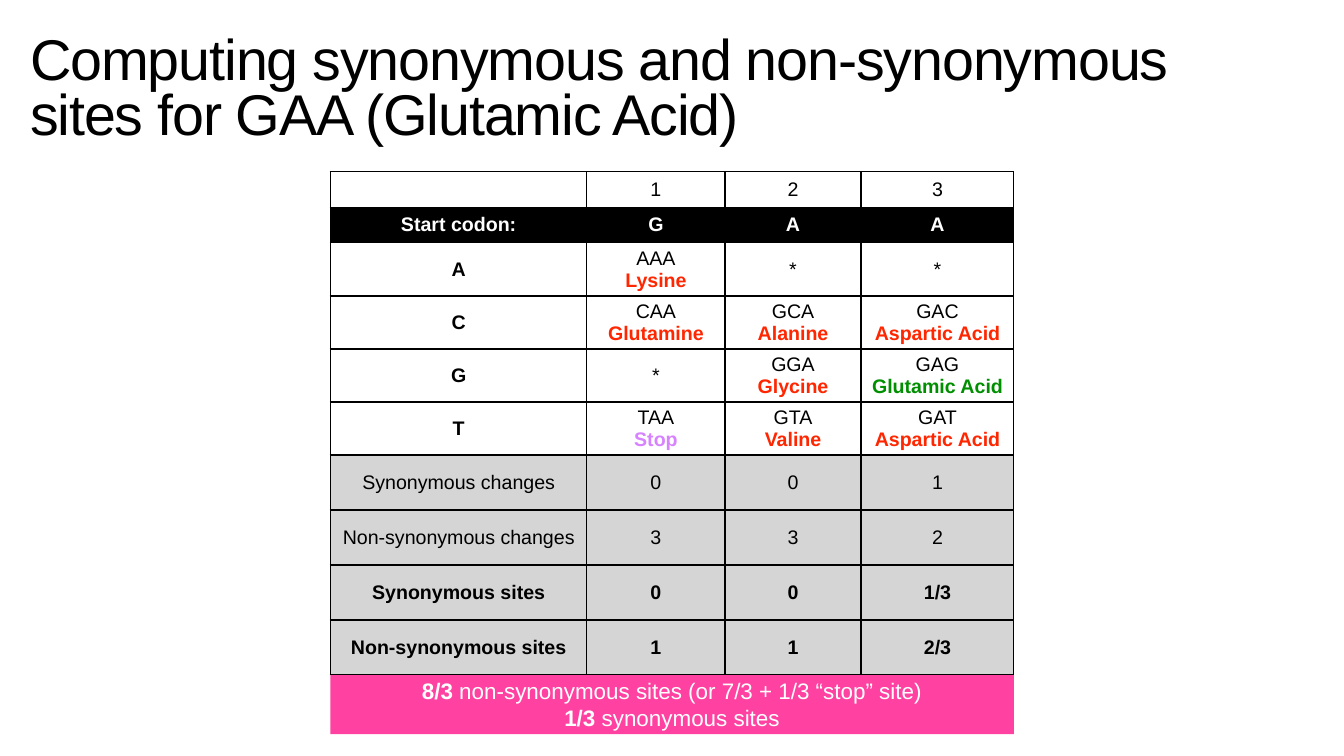
from dataclasses import dataclass
from typing import NamedTuple

from lxml import etree
from pptx import Presentation
from pptx.dml.color import RGBColor
from pptx.enum.shapes import MSO_SHAPE
from pptx.enum.text import MSO_ANCHOR, PP_ALIGN
from pptx.oxml.ns import qn
from pptx.util import Cm, Pt

RECT = MSO_SHAPE.RECTANGLE
MIDDLE = MSO_ANCHOR.MIDDLE
CENTER, LEFT = PP_ALIGN.CENTER, PP_ALIGN.LEFT


@dataclass(frozen=True)
class Theme:
    font: str = "Arial"
    title: int = 82
    note: int = 32
    body: int = 28
    ink: str = "000000"
    paper: str = "FFFFFF"
    grey: str = "D5D5D5"
    pink: str = "FF42A1"
    change: str = "FF2600"
    same: str = "008F00"
    stop: str = "D783FF"
    border: int = 2


THEME = Theme()


class Run(NamedTuple):
    text: str
    size: int = THEME.body
    color: str = THEME.ink
    bold: bool = False


class Look(NamedTuple):
    height: float
    fill: str | None = None
    color: str = THEME.ink
    head: bool = False  # bold first cell
    rest: bool = False  # bold other cells


class Row(NamedTuple):
    look: Look
    texts: tuple[str, ...]


# Row styles and table content; a second line names the amino acid
PLACE = Look(1.8)
START = Look(1.8, THEME.ink, THEME.paper, True, True)
BASE = Look(2.67, head=True)  # tall enough for two lines
COUNT = Look(2.77, THEME.grey)
SITES = Look(2.77, THEME.grey, head=True, rest=True)

ROWS = [
    Row(PLACE, ("", "1", "2", "3")),
    Row(START, ("Start codon:", "G", "A", "A")),
    Row(BASE, ("A", "AAA\nLysine", "*", "*")),
    Row(BASE, ("C", "CAA\nGlutamine", "GCA\nAlanine", "GAC\nAspartic Acid")),
    Row(BASE, ("G", "*", "GGA\nGlycine", "GAG\nGlutamic Acid")),
    Row(BASE, ("T", "TAA\nStop", "GTA\nValine", "GAT\nAspartic Acid")),
    Row(COUNT, ("Synonymous changes", "0", "0", "1")),
    Row(COUNT, ("Non-synonymous changes", "3", "3", "2")),
    Row(SITES, ("Synonymous sites", "0", "0", "1/3")),
    Row(SITES, ("Non-synonymous sites", "1", "1", "2/3")),
]
WIDTHS = (12.93, 6.96, 6.86, 7.7)
AMINO = {"Glutamic Acid": THEME.same, "Stop": THEME.stop}
INSETS = {f"margin_{side}": Cm(0.15) for side in ("left", "right", "top", "bottom")}

# Table frame; the banner sits directly below it
GRID_X, GRID_Y = 16.65, 8.64
GRID_W = sum(WIDTHS)
GRID_H = sum(row.look.height for row in ROWS)


def apply(target, values: dict) -> None:
    for name, value in values.items():
        setattr(target, name, value)


def paint(fill, color: str | None) -> None:
    if color is None:
        fill.background()
    else:
        fill.solid()
        fill.fore_color.rgb = RGBColor.from_string(color)


def write(frame, lines: list[list[Run]], align=CENTER) -> None:
    for i, runs in enumerate(lines):
        para = frame.paragraphs[0] if i == 0 else frame.add_paragraph()
        para.alignment = align
        for item in runs:
            run = para.add_run()
            run.text = item.text
            apply(run.font, {"name": THEME.font, "size": Pt(item.size), "bold": item.bold})
            run.font.color.rgb = RGBColor.from_string(item.color)


def outline(cell) -> None:
    props = cell._tc.get_or_add_tcPr()
    for side in ("lnL", "lnR", "lnT", "lnB"):
        line = etree.SubElement(props, qn(f"a:{side}"), w=str(Pt(THEME.border)))
        fill = etree.SubElement(line, qn("a:solidFill"))
        etree.SubElement(fill, qn("a:srgbClr"), val=THEME.ink)


def add_title(slide, text: str) -> None:
    box = slide.shapes.add_textbox(Cm(1.37), Cm(-0.56), Cm(61.04), Cm(10.31))
    frame = box.text_frame
    apply(frame, {"word_wrap": True, "vertical_anchor": MIDDLE, **INSETS})
    write(frame, [[Run(text, THEME.title)]], LEFT)
    para = frame.paragraphs[0]
    para.line_spacing = 0.8
    para.runs[0].font._element.set("spc", "-160")


def add_banner(slide, lines: list[tuple[str, str]]) -> None:
    box = slide.shapes.add_shape(RECT, Cm(GRID_X), Cm(GRID_Y + GRID_H), Cm(GRID_W), Cm(3))
    box.shadow.inherit = False
    paint(box.fill, THEME.pink)
    box.line.fill.background()
    apply(box.text_frame, {"word_wrap": True, "vertical_anchor": MIDDLE, **INSETS})
    write(box.text_frame, [
        [Run(count, THEME.note, THEME.paper, True), Run(rest, THEME.note, THEME.paper)]
        for count, rest in lines
    ])


def fill_cell(cell, text: str, look: Look, bold: bool) -> None:
    apply(cell, {"vertical_anchor": MIDDLE, **INSETS})
    outline(cell)
    paint(cell.fill, look.fill)
    if text:
        first, *names = text.split("\n")
        lines = [[Run(first, color=look.color, bold=bold)]]
        lines += [[Run(name, color=AMINO.get(name, THEME.change), bold=True)]
                  for name in names]
        write(cell.text_frame, lines)


def add_grid(slide) -> None:
    grid = slide.shapes.add_table(len(ROWS), len(WIDTHS), Cm(GRID_X), Cm(GRID_Y),
                                  Cm(GRID_W), Cm(GRID_H)).table
    apply(grid, {"first_row": False, "horz_banding": False})
    for column, size in zip(grid.columns, WIDTHS):
        column.width = Cm(size)
    for r, (look, texts) in enumerate(ROWS):
        grid.rows[r].height = Cm(look.height)
        for c, text in enumerate(texts):
            fill_cell(grid.cell(r, c), text, look, look.rest if c else look.head)


def main() -> None:
    deck = Presentation()
    apply(deck, {"slide_width": Cm(67.74), "slide_height": Cm(38.1)})
    slide = deck.slides.add_slide(deck.slide_layouts[6])
    paint(slide.background.fill, THEME.paper)
    add_title(slide, "Computing synonymous and non-synonymous sites for GAA (Glutamic Acid)")
    add_banner(slide, [
        ("8/3", " non-synonymous sites (or 7/3 + 1/3 “stop” site)"),
        ("1/3", " synonymous sites"),
    ])
    add_grid(slide)
    deck.save("out.pptx")


if __name__ == "__main__":
    main()
